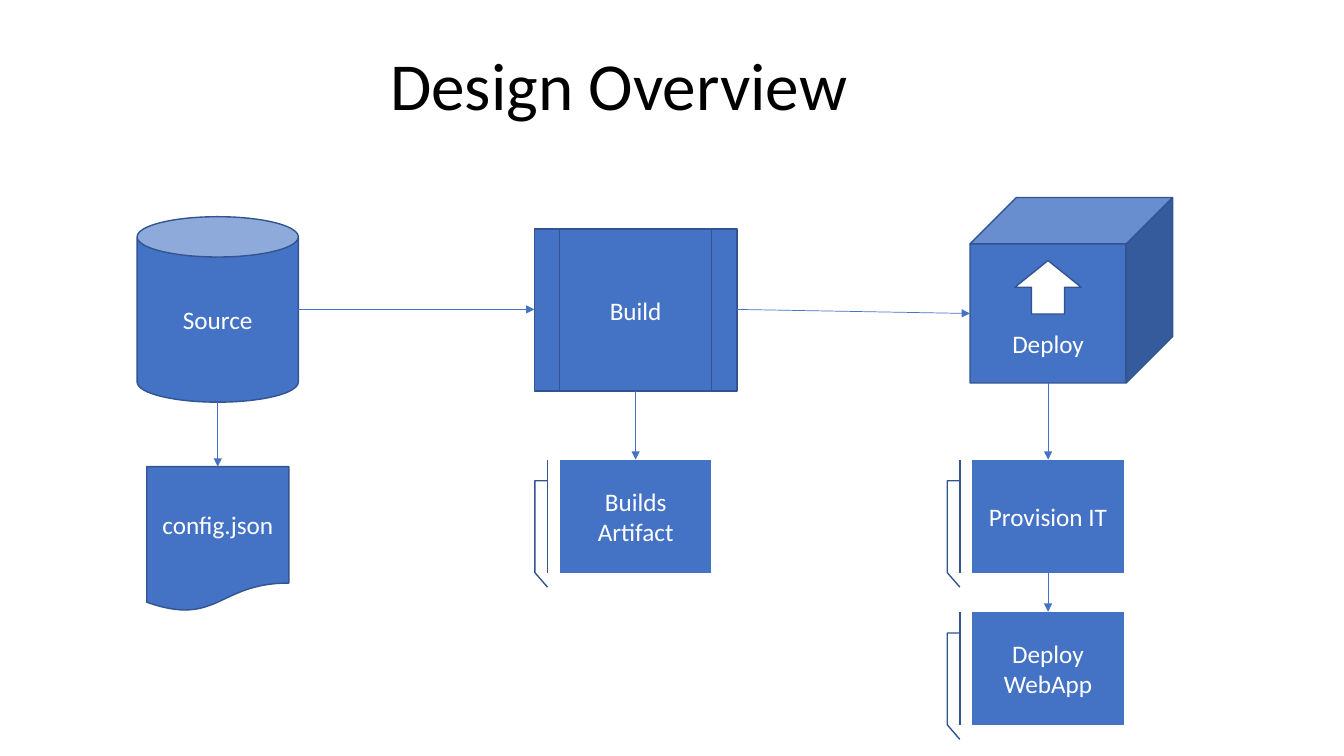
from lxml import etree
from pptx import Presentation
from pptx.dml.color import RGBColor
from pptx.enum.shapes import MSO_CONNECTOR, MSO_SHAPE
from pptx.enum.text import MSO_ANCHOR, MSO_AUTO_SIZE, PP_ALIGN
from pptx.oxml.ns import qn
from pptx.util import Inches, Pt

BLUE = RGBColor(0x44, 0x72, 0xC4)
OUTLINE = RGBColor(0x32, 0x54, 0x91)
WHITE = RGBColor(0xFF, 0xFF, 0xFF)
BLACK = RGBColor(0, 0, 0)
FONT = "Calibri"
STRAIGHT = MSO_CONNECTOR.STRAIGHT
CAN = MSO_SHAPE.CAN
DOCUMENT = MSO_SHAPE.FLOWCHART_DOCUMENT
PROCESS = MSO_SHAPE.FLOWCHART_PREDEFINED_PROCESS
CUBE = MSO_SHAPE.CUBE
RIGHT_ARROW = MSO_SHAPE.RIGHT_ARROW
CALLOUT = MSO_SHAPE.LINE_CALLOUT_3_ACCENT_BAR
TITLE_ONLY_LAYOUT = 5

# Shared geometry, in inches
STEP_WIDTH, STEP_HEIGHT = 1.5, 1.12
STEP_TOP, STEP_PITCH = 4.56, 1.51
FLOW_Y = 3.07


def add_node(slide, kind, box, text="", fill=BLUE):
    """Add an outlined shape with centred text to the box (left, top, width, height)."""
    shape = slide.shapes.add_shape(kind, *map(Inches, box))
    shape.shadow.inherit = False
    shape.fill.solid()
    shape.fill.fore_color.rgb = fill
    shape.line.color.rgb = OUTLINE
    shape.line.width = Pt(1)
    frame = shape.text_frame
    frame.word_wrap = True
    frame.vertical_anchor = MSO_ANCHOR.MIDDLE
    if text:
        paragraph = frame.paragraphs[0]
        paragraph.text = text
        paragraph.alignment = PP_ALIGN.CENTER
        paragraph.font.name = FONT
        paragraph.font.size = Pt(18)
        paragraph.font.color.rgb = WHITE
    return shape


def add_arrow(slide, start, end):
    connector = slide.shapes.add_connector(STRAIGHT, *map(Inches, start + end))
    connector.line.color.rgb = BLUE
    connector.line.width = Pt(0.5)
    line = connector.line._get_or_add_ln()
    etree.SubElement(line, qn("a:tailEnd"), type="triangle")
    etree.SubElement(connector._element.spPr, qn("a:effectLst"))


def add_steps(slide, center, labels):
    """Stack callouts downwards from the step row, centred on a column."""
    for row, label in enumerate(labels):
        top = STEP_TOP + row * STEP_PITCH
        box = (center - STEP_WIDTH / 2, top, STEP_WIDTH, STEP_HEIGHT)
        add_node(slide, CALLOUT, box, label)
        if row:
            add_arrow(slide, (center, top - STEP_PITCH + STEP_HEIGHT), (center, top))


def add_title(slide, box):
    title = slide.shapes.title
    title.left, title.top, title.width, title.height = map(Inches, box)
    frame = title.text_frame
    frame.text = "Design Overview"
    frame.auto_size = MSO_AUTO_SIZE.NONE
    frame.vertical_anchor = MSO_ANCHOR.TOP
    paragraph = frame.paragraphs[0]
    paragraph.alignment = PP_ALIGN.LEFT
    paragraph.line_spacing = 0.9
    paragraph.font.name = FONT
    paragraph.font.size = Pt(48)
    paragraph.font.color.rgb = BLACK


def add_source_stage(slide, box):
    left, top, width, height = box
    center, bottom = left + width / 2, top + height
    file_top, file_width = bottom + 0.64, 1.41
    add_node(slide, CAN, box, "Source")
    file_box = (center - file_width / 2, file_top, file_width, 1.44)
    add_node(slide, DOCUMENT, file_box, "config.json")
    add_arrow(slide, (center, bottom), (center, file_top))


def add_build_stage(slide, box):
    left, top, width, height = box
    center = left + width / 2
    add_node(slide, PROCESS, box, "Build")
    add_steps(slide, center, ["Builds Artifact"])
    add_arrow(slide, (center, top + height), (center, STEP_TOP))


def add_deploy_stage(slide, box):
    left, top, width, height = box
    depth = height / 4  # default depth of the cube
    center = left + (width - depth) / 2
    cube = add_node(slide, CUBE, box, "Deploy")
    cube.text_frame.margin_top = Inches(0.65)  # room for the upload arrow
    arrow_width, arrow_height = 0.53, 0.66
    arrow_box = (center - arrow_width / 2, top + 0.56, arrow_width, arrow_height)
    upload = add_node(slide, RIGHT_ARROW, arrow_box, fill=WHITE)
    upload.rotation = 270
    add_steps(slide, center, ["Provision IT", "Deploy WebApp"])
    add_arrow(slide, (center, top + height), (center, STEP_TOP))


def main():
    presentation = Presentation()
    presentation.slide_width = Inches(13.33)
    presentation.slide_height = Inches(7.5)
    layout = presentation.slide_layouts[TITLE_ONLY_LAYOUT]
    slide = presentation.slides.add_slide(layout)

    add_title(slide, (3.77, 0.47, 5.41, 0.89))
    source, build, deploy = (1.36, 2.15, 1.6, 1.84), (5.3, 2.27, 2.01, 1.61), (9.62, 1.96, 2.01, 1.84)
    add_source_stage(slide, source)
    add_build_stage(slide, build)
    add_deploy_stage(slide, deploy)

    # Flow between the stages
    add_arrow(slide, (source[0] + source[2], FLOW_Y), (build[0], FLOW_Y))
    add_arrow(slide, (build[0] + build[2], FLOW_Y), (deploy[0], FLOW_Y + 0.04))
    presentation.save("out.pptx")


if __name__ == "__main__":
    main()
